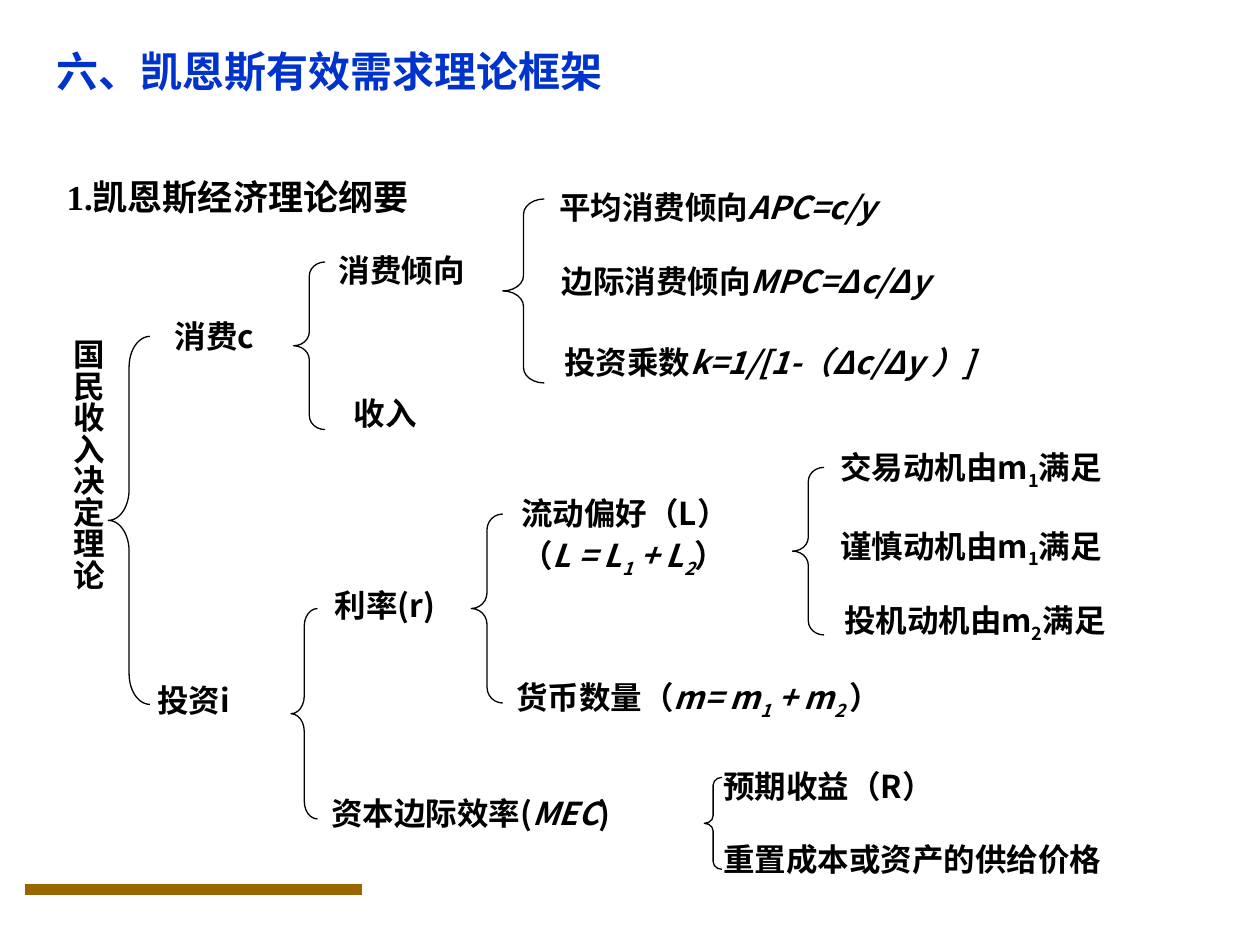
import pptx
import pptx.dml.color
import pptx.enum.shapes
import pptx.enum.text
import pptx.oxml
import pptx.oxml.ns
import pptx.util

SANS = "Noto Sans CJK SC"
SERIF = "Times New Roman"
BLACK = "000000"
TITLE_BLUE = "0033CC"
RULE_BROWN = "996600"
ITALIC = {"italic": True}
SUBSCRIPT = {"baseline": -25000}
ITALIC_SUBSCRIPT = {**ITALIC, **SUBSCRIPT}

Inches = pptx.util.Inches


def color(value):
    return pptx.dml.color.RGBColor.from_string(value)


def add_text(paragraph, text, size=18, font=SANS, fill=BLACK, italic=False, baseline=0):
    run = paragraph.add_run()
    run.text = text
    run.font.size = pptx.util.Pt(size)
    run.font.name = font
    run.font.bold = True
    run.font.italic = italic
    run.font.color.rgb = color(fill)
    properties = run.font._element
    if baseline:
        properties.set("baseline", str(baseline))
    east_asian = pptx.oxml.parse_xml(f'<a:ea {pptx.oxml.ns.nsdecls("a")} typeface="{SANS}"/>')
    properties.find(pptx.oxml.ns.qn("a:latin")).addnext(east_asian)


class DiagramSlide:
    def __init__(self, presentation):
        self.slide = presentation.slides.add_slide(presentation.slide_layouts[5])
        self.line_color = BLACK
        self.line_width = 0.75

    def title(self, text, left, top, width, height):
        shape = self.slide.shapes.title
        shape.left, shape.top = Inches(left), Inches(top)
        shape.width, shape.height = Inches(width), Inches(height)
        frame = shape.text_frame
        frame.vertical_anchor = pptx.enum.text.MSO_ANCHOR.MIDDLE
        paragraph = frame.paragraphs[0]
        paragraph.alignment = pptx.enum.text.PP_ALIGN.LEFT
        add_text(paragraph, text, size=24, font=SERIF, fill=TITLE_BLUE)

    def label(self, lines, left, top, width, height, spacing=1.0, **text_format):
        shape = self.slide.shapes.add_textbox(
            Inches(left), Inches(top), Inches(width), Inches(height))
        frame = shape.text_frame
        frame.word_wrap = True
        for index, runs in enumerate(lines):
            paragraph = frame.add_paragraph() if index else frame.paragraphs[0]
            paragraph.line_spacing = spacing
            for text, run_format in runs:
                add_text(paragraph, text, **{**text_format, **run_format})
        return shape

    def vertical_label(self, text, left, top, width, height):
        shape = self.label([[(text, {})]], left, top, width, height)
        frame = shape.text_frame
        frame.margin_left = frame.margin_right = Inches(0.05)
        frame.margin_top = frame.margin_bottom = Inches(0.1)
        frame.paragraphs[0].alignment = pptx.enum.text.PP_ALIGN.CENTER
        body = shape.element.find(".//" + pptx.oxml.ns.qn("a:bodyPr"))
        body.set("vert", "eaVert")

    def brace(self, left, top, width, height):
        shape = self.slide.shapes.add_shape(
            pptx.enum.shapes.MSO_SHAPE.LEFT_BRACE,
            Inches(left), Inches(top), Inches(width), Inches(height))
        shape.adjustments[0] = height / width / 12
        shape.shadow.inherit = False
        shape.fill.background()
        shape.line.color.rgb = color(self.line_color)
        shape.line.width = pptx.util.Pt(self.line_width)

    def rule(self, left, right, y, width):
        connector = self.slide.shapes.add_connector(
            pptx.enum.shapes.MSO_CONNECTOR.STRAIGHT,
            Inches(left), Inches(y), Inches(right), Inches(y))
        connector.line.color.rgb = color(RULE_BROWN)
        connector.line.width = pptx.util.Pt(width)
        effects = pptx.oxml.parse_xml(f'<a:effectLst {pptx.oxml.ns.nsdecls("a")}/>')
        connector.element.spPr.append(effects)


def main():
    presentation = pptx.Presentation()
    presentation.slide_width = Inches(10)
    presentation.slide_height = Inches(7.5)
    diagram = DiagramSlide(presentation)

    diagram.title("六、凯恩斯有效需求理论框架", 0.35, 0.21, 6.38, 0.71)
    diagram.label([[("1.凯恩斯经济理论纲要", {})]], 0.43, 1.31, 3.47, 0.47,
                  spacing=1.1, size=20, font=SERIF)
    diagram.vertical_label("国民收入决定理论", 0.4, 2.59, 0.5, 3.02)

    plain_labels = [
        ("消费倾向", 2.59, 1.94, 1.58, 0.4, 1.0),
        ("收入", 2.71, 3.08, 1.03, 0.4, 1.0),
        ("消费c", 1.29, 2.44, 1.03, 0.43, 1.1),
        ("投资i", 1.15, 5.33, 1.09, 0.43, 1.1),
        ("利率(r)", 2.56, 4.57, 1.19, 0.43, 1.1),
        ("预期收益（R）", 5.64, 6.01, 1.98, 0.43, 1.1),
        ("重置成本或资产的供给价格", 5.64, 6.59, 3.2, 0.43, 1.1),
    ]
    for text, left, top, width, height, spacing in plain_labels:
        diagram.label([[(text, {})]], left, top, width, height, spacing)

    formulas = [
        ("平均消费倾向", "APC=c/y", 4.34, 1.44),
        ("边际消费倾向", "MPC=Δc/Δy", 4.36, 2.03),
        ("投资乘数", "k=1/[1-（Δc/Δy ）]", 4.38, 2.67),
    ]
    for name, formula, left, top in formulas:
        diagram.label([[(name, {}), (formula, ITALIC)]], left, top, 4.16, 0.4)

    motives = [
        ("交易", "1", 6.57, 3.51),
        ("谨慎", "1", 6.57, 4.13),
        ("投机", "2", 6.6, 4.72),
    ]
    for motive, number, left, top in motives:
        runs = [(f"{motive}动机由m", {}), (number, SUBSCRIPT), ("满足", {})]
        diagram.label([runs], left, top, 2.92, 0.44)

    liquidity = [("（", {}), ("L = L", ITALIC), ("1", ITALIC_SUBSCRIPT),
                 (" + L", ITALIC), ("2", ITALIC_SUBSCRIPT), ("）", {})]
    diagram.label([[("流动偏好（L）", {})], liquidity], 4.04, 3.84, 1.96, 0.81, 1.1)

    money = [("货币数量（", {}), ("m= m", ITALIC), ("1", ITALIC_SUBSCRIPT),
             (" + m", ITALIC), ("2 ", ITALIC_SUBSCRIPT), ("）", {})]
    diagram.label([money], 4, 5.33, 4.29, 0.44)

    efficiency = [("资本边际效率(", {}), ("MEC", ITALIC), (")", {})]
    diagram.label([efficiency], 2.53, 6.25, 2.63, 0.4)

    braces = [
        (0.86, 2.67, 0.33, 2.92),
        (2.33, 2.08, 0.25, 1.33),
        (3.99, 1.58, 0.33, 1.46),
        (2.31, 4.83, 0.21, 1.67),
        (3.74, 4.08, 0.25, 1.5),
        (6.29, 3.71, 0.25, 1.33),
        (5.59, 6.17, 0.14, 0.73),
    ]
    for left, top, width, height in braces:
        diagram.brace(left, top, width, height)

    diagram.rule(0.2, 2.87, 7.06, 6)
    presentation.save("out.pptx")


if __name__ == "__main__":
    main()
